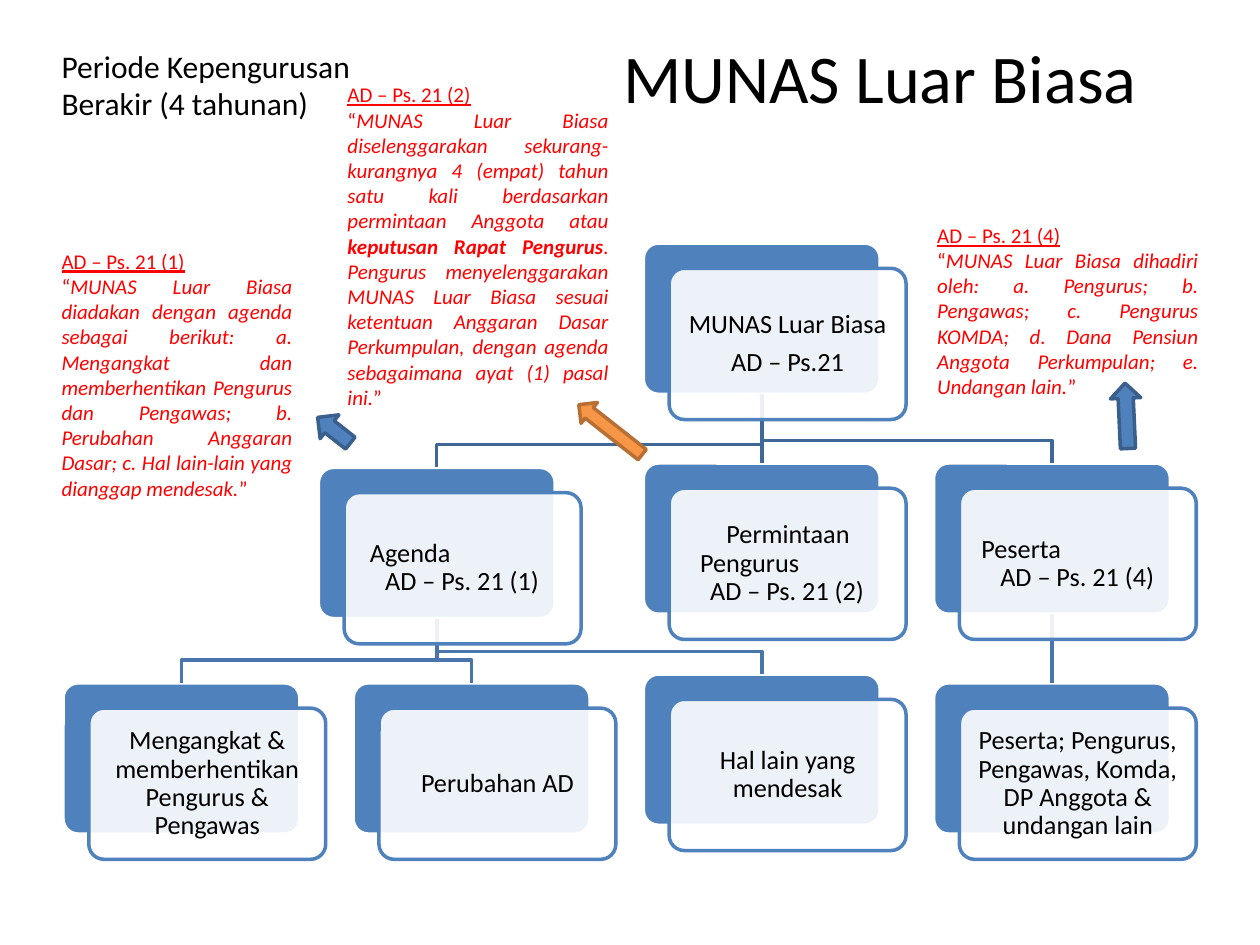
"""Build the MUNAS Luar Biasa organisation slide."""
from dataclasses import dataclass

from lxml import etree
from pptx import Presentation
from pptx import util as u
from pptx.dml.color import RGBColor
from pptx.enum import shapes, text
from pptx.oxml import ns


@dataclass(frozen=True)
class Theme:
    font: str = "Calibri"
    ink: str = "000000"
    paper: str = "FFFFFF"
    quote: str = "FF0000"
    blue: str = "4F81BD"
    blue_edge: str = "3A5F8C"
    orange: str = "F79646"
    orange_edge: str = "B76F34"
    upper_link: str = "3F6797"
    lower_link: str = "4875AC"
    heading: int = 39
    subheading: int = 18
    card: int = 15
    note: int = 12
    stroke: int = 2


@dataclass(frozen=True)
class Area:
    """Hold left, top, width and height in percent of the slide."""
    left: float
    top: float
    width: float
    height: float

    def emu(self) -> tuple:
        return (across(self.left), down(self.top), across(self.width), down(self.height))


@dataclass(frozen=True)
class Card:
    """Hold a grid place, text lines and optional line indents in inches."""
    col: float
    row: float
    lines: tuple
    indents: tuple = ()

    def area(self) -> Area:
        return Area(5 + 23.03 * self.col, 25.73 + 23.27 * self.row, 18.8, 16)


@dataclass(frozen=True)
class Note:
    area: Area
    clause: str
    quote: tuple


@dataclass(frozen=True)
class Pointer:
    area: Area
    turn: float
    fill: str
    edge: str


THEME = Theme()
WIDTH, HEIGHT = u.Inches(10), u.Inches(7.5)
CARD_SHIFT = (2.05, 2.67)
BEND = 2.4

CARDS = {
    "munas": Card(2, 0, ("MUNAS Luar Biasa", "AD – Ps.21")),
    "agenda": Card(0.88, 1.02, ("Agenda", "AD – Ps. 21 (1)"), (0.11, 0.23)),
    "officers": Card(0, 2, ("Mengangkat & memberhentikan Pengurus & Pengawas",)),
    "statutes": Card(1, 2, ("Perubahan AD",)),
    "other": Card(2, 1.96, ("Hal lain yang mendesak",)),
    "request": Card(2, 1, ("Permintaan", "Pengurus", "AD – Ps. 21 (2)"), (0.36, 0.15, 0.23)),
    "attendees": Card(3, 1, ("Peserta", "AD – Ps. 21 (4)"), (0.08, 0.23)),
    "invited": Card(3, 2, ("Peserta; Pengurus, Pengawas, Komda, DP Anggota & undangan lain",)),
}
CHILDREN = {
    "munas": ("agenda", "request", "attendees"),
    "agenda": ("officers", "statutes", "other"),
    "attendees": ("invited",),
}
NOTES = (
    Note(Area(3.9, 27.07, 20.3, 25.07), "AD – Ps. 21 (1)", (
        ("MUNAS Luar Biasa diadakan dengan agenda sebagai berikut: a. Mengangkat dan "
         "memberhentikan Pengurus dan Pengawas; b. Perubahan Anggaran Dasar; "
         "c. Hal lain-lain yang dianggap mendesak.", False),)),
    Note(Area(26.6, 9.33, 22.7, 33.33), "AD – Ps. 21 (2)", (
        ("MUNAS Luar Biasa diselenggarakan sekurang-kurangnya 4 (empat) tahun satu kali "
         "berdasarkan permintaan Anggota atau ", False),
        ("keputusan Rapat Pengurus", True),
        (". Pengurus menyelenggarakan MUNAS Luar Biasa sesuai ketentuan Anggaran Dasar "
         "Perkumpulan, dengan agenda sebagaimana ayat (1) pasal ini.", False))),
    Note(Area(73.4, 24, 22.7, 17.73), "AD – Ps. 21 (4)", (
        ("MUNAS Luar Biasa dihadiri oleh: a. Pengurus; b. Pengawas; c. Pengurus KOMDA; "
         "d. Dana Pensiun Anggota Perkumpulan; e. Undangan lain.", False),)),
)
POINTERS = (
    Pointer(Area(25.3, 43.33, 2.4, 4.4), 128.2, THEME.blue, THEME.blue_edge),
    Pointer(Area(47.4, 41.2, 2.1, 8.53), 128.2, THEME.orange, THEME.orange_edge),
    Pointer(Area(88.2, 40.53, 2.4, 6.93), 177.4, THEME.blue, THEME.blue_edge),
)


def across(share: float) -> int:
    return round(WIDTH * share / 100)


def down(share: float) -> int:
    return round(HEIGHT * share / 100)


def set_line(line, color: str) -> None:
    line.color.rgb = RGBColor.from_string(color)
    line.width = u.Pt(THEME.stroke)


def style(paragraph, size: int, color: str, align) -> None:
    paragraph.alignment = align
    paragraph.font.name = THEME.font
    paragraph.font.size = u.Pt(size)
    paragraph.font.color.rgb = RGBColor.from_string(color)


def add_preset(slide, kind, area: Area, fill: str, edge: str):
    preset = slide.shapes.add_shape(kind, *area.emu())
    preset.shadow.inherit = False
    preset.fill.solid()
    preset.fill.fore_color.rgb = RGBColor.from_string(fill)
    set_line(preset.line, edge)
    return preset


def add_plate(slide, area: Area, fill: str, edge: str):
    plate = add_preset(slide, shapes.MSO_SHAPE.ROUNDED_RECTANGLE, area, fill, edge)
    plate.adjustments[0] = 0.1
    return plate


def add_face(slide, card: Card) -> None:
    """Draw the translucent front plate of a card with its wording."""
    base = card.area()
    front = Area(base.left + CARD_SHIFT[0], base.top + CARD_SHIFT[1], base.width, base.height)
    face = add_plate(slide, front, THEME.paper, THEME.blue)
    tint = face.fill._xPr.find(ns.qn("a:solidFill"))[0]
    etree.SubElement(tint, ns.qn("a:alpha"), val="90000")
    frame = face.text_frame
    frame.word_wrap = True
    frame.vertical_anchor = text.MSO_ANCHOR.MIDDLE
    frame.margin_left = frame.margin_right = u.Inches(0.06)
    frame.margin_top = frame.margin_bottom = u.Inches(0.06)
    frame.text = "\n".join(card.lines)
    align = text.PP_ALIGN.LEFT if card.indents else text.PP_ALIGN.CENTER
    for paragraph in frame.paragraphs:
        style(paragraph, THEME.card, THEME.ink, align)
        paragraph.line_spacing = 0.9
        paragraph.space_after = u.Pt(0 if card.indents else 5.25)
    for paragraph, indent in zip(frame.paragraphs, card.indents):
        paragraph._p.get_or_add_pPr().set("marL", str(u.Inches(indent)))


def add_link(slide, parent, child, color: str) -> None:
    """Join two plates, straight when aligned and with an elbow otherwise."""
    start = (parent.left + parent.width // 2, parent.top + parent.height)
    end = (child.left + child.width // 2, child.top)
    if start[0] == end[0]:
        link = slide.shapes.add_connector(shapes.MSO_CONNECTOR.STRAIGHT, *start, *end)
        link.begin_connect(parent, 2)
        link.end_connect(child, 0)
        etree.SubElement(link._element.spPr, ns.qn("a:effectLst"))
    else:
        bend = end[1] - down(BEND)
        route = slide.shapes.build_freeform(*start)
        route.add_line_segments([(start[0], bend), (end[0], bend), end], close=False)
        link = route.convert_to_shape()
        link.fill.background()
        link.shadow.inherit = False
    set_line(link.line, color)


def add_frame(slide, area: Area):
    frame = slide.shapes.add_textbox(*area.emu()).text_frame
    frame.word_wrap = True
    frame.vertical_anchor = text.MSO_ANCHOR.MIDDLE
    return frame


def add_heading(slide, area: Area, words: str, size: int, align) -> None:
    frame = add_frame(slide, area)
    frame.text = words
    style(frame.paragraphs[0], size, THEME.ink, align)


def add_note(slide, note: Note) -> None:
    frame = add_frame(slide, note.area)
    clause, quote = frame.paragraphs[0], frame.add_paragraph()
    clause.text = note.clause
    style(clause, THEME.note, THEME.quote, text.PP_ALIGN.LEFT)
    clause.font.underline = True
    style(quote, THEME.note, THEME.quote, text.PP_ALIGN.JUSTIFY)
    quote.add_run().text = "“"
    for words, bold in note.quote:
        run = quote.add_run()
        run.text, run.font.italic, run.font.bold = words, True, bold
    quote.add_run().text = "”"


def main() -> None:
    deck = Presentation()
    deck.slide_width, deck.slide_height = WIDTH, HEIGHT
    slide = deck.slides.add_slide(deck.slide_layouts[6])
    add_heading(slide, Area(3.9, 4.13, 25.8, 9.6), "Periode Kepengurusan Berakir (4 tahunan)",
                THEME.subheading, text.PP_ALIGN.LEFT)
    plates = {key: add_plate(slide, card.area(), THEME.blue, THEME.paper)
              for key, card in CARDS.items()}
    for parent, children in CHILDREN.items():
        color = THEME.upper_link if parent == "munas" else THEME.lower_link
        for child in children:
            add_link(slide, plates[parent], plates[child], color)
    for card in CARDS.values():
        add_face(slide, card)
    for note in NOTES:
        add_note(slide, note)
    for pointer in POINTERS:
        arrow = add_preset(slide, shapes.MSO_SHAPE.DOWN_ARROW, pointer.area,
                           pointer.fill, pointer.edge)
        arrow.rotation = pointer.turn
    add_heading(slide, Area(40.7, 2.8, 58.3, 10.53), "MUNAS Luar Biasa",
                THEME.heading, text.PP_ALIGN.CENTER)
    deck.save("out.pptx")


if __name__ == "__main__":
    main()
